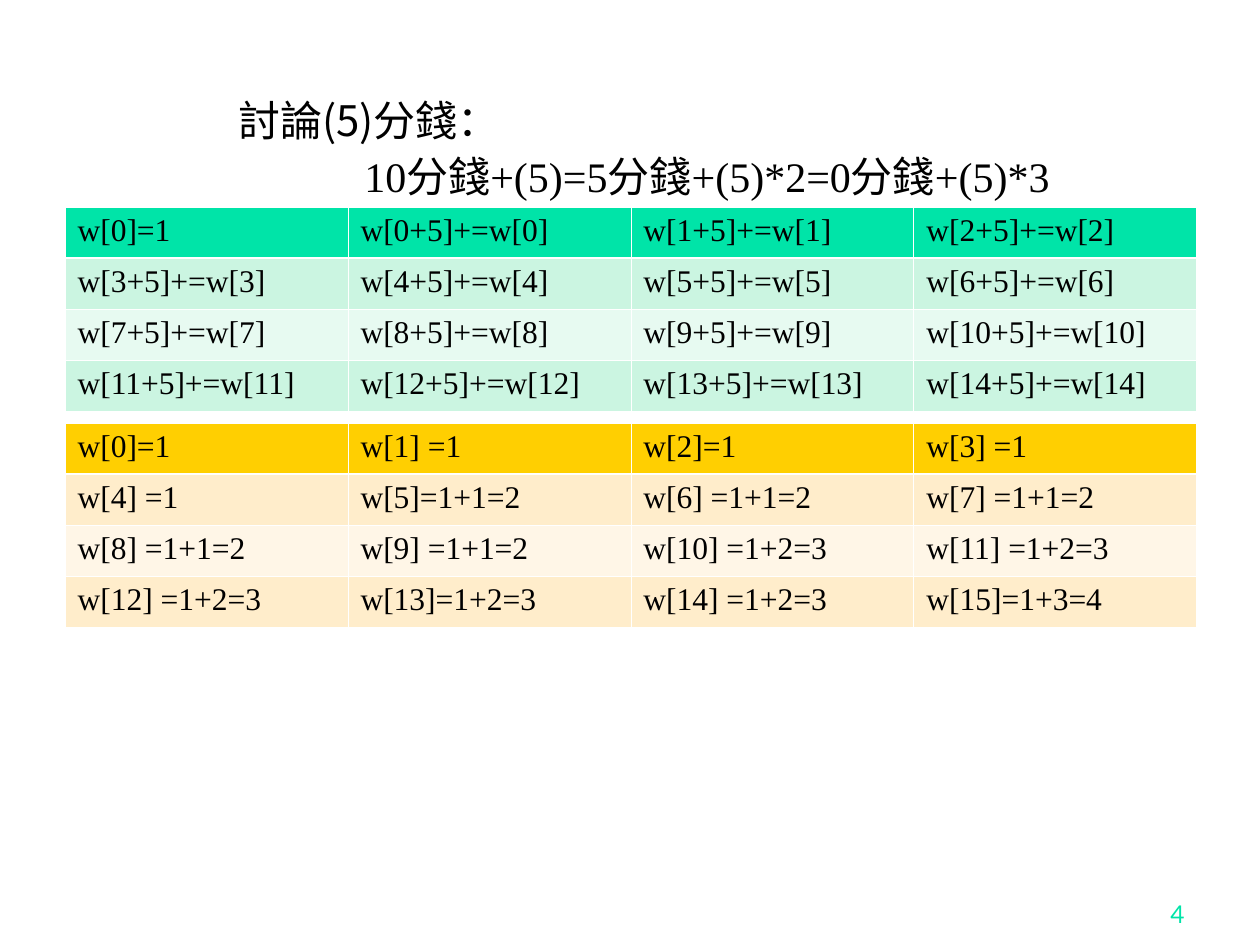
from itertools import groupby

from lxml.etree import SubElement
from pptx import Presentation
from pptx.dml.color import RGBColor
from pptx.enum.text import MSO_ANCHOR as ANCHOR, PP_ALIGN as ALIGN
from pptx.oxml.ns import qn
from pptx.util import Pt

SERIF = "Times New Roman"
CJK = "Noto Sans CJK SC"
PX = 914400 // 126


def px(n):
    return n * PX


def rgb(value):
    return RGBColor.from_string(value)


def set_attrs(obj, values):
    for name, value in values.items():
        setattr(obj, name, value)


def add_run(p, text, font, size, color):
    r = p.add_run()
    r.text = text
    set_attrs(r.font, {"name": font, "size": Pt(size)})
    r.font.color.rgb = rgb(color)
    SubElement(r.font._element, qn("a:ea"), typeface=font)


def add_text_frame(s, box, anchor):
    tf = s.shapes.add_textbox(*map(px, box)).text_frame
    set_attrs(tf, {"word_wrap": True, "vertical_anchor": anchor})
    return tf


def is_cjk(char):
    return ord(char) > 0x2E80


def add_heading(s, box):
    tf = add_text_frame(s, box, ANCHOR.TOP)
    first, second = tf.paragraphs[0], tf.add_paragraph()
    second.space_before = Pt(6)
    for p, indent in ((first, 173), (second, 299)):
        p.line_spacing = 0.9
        p._p.get_or_add_pPr().set("marL", str(px(indent)))
    add_run(first, "討論(5)分錢：", CJK, 24, "000000")
    for cjk, chars in groupby("10分錢+(5)=5分錢+(5)*2=0分錢+(5)*3", is_cjk):
        add_run(second, "".join(chars), CJK if cjk else SERIF, 24, "000000")


def add_borders(cell, row):
    tcPr = cell._tc.get_or_add_tcPr()
    heavy = {0: "B", 1: "T"}.get(row)
    for side in "LRTB":
        width = Pt(1.47 if side == heavy else 0.45)
        ln = SubElement(tcPr, qn(f"a:ln{side}"), w=str(width))
        fill = SubElement(ln, qn("a:solidFill"))
        SubElement(fill, qn("a:srgbClr"), val="FFFFFF")


def add_weights(s, box, rows, head, odd, even):
    shape = s.shapes.add_table(len(rows), len(rows[0]), *map(px, box))
    table = shape.table
    for row in table.rows:
        row.height = px(box[3]) // len(rows)
    for i, texts in enumerate(rows):
        color = head if i == 0 else odd if i % 2 else even
        for j, text in enumerate(texts):
            cell = table.cell(i, j)
            add_borders(cell, i)
            cell.fill.solid()
            cell.fill.fore_color.rgb = rgb(color)
            add_run(cell.text_frame.paragraphs[0], text, SERIF, 18, "000000")


def add_page_number(s, box, number):
    p = add_text_frame(s, box, ANCHOR.BOTTOM).paragraphs[0]
    p.alignment = ALIGN.RIGHT
    add_run(p, number, "Lato", 14, "00E4A8")


def main():
    prs = Presentation()
    set_attrs(prs, {"slide_width": px(1260), "slide_height": px(945)})
    s = prs.slides.add_slide(prs.slide_layouts[6])
    add_page_number(s, (935, 872, 262, 63), "4")
    add_heading(s, (53, 94, 1113, 775))

    steps = ["w[0]=1"] + [f"w[{n}+5]+=w[{n}]" for n in range(15)]
    values = [
        ["w[0]=1", "w[1] =1", "w[2]=1", "w[3] =1"],
        ["w[4] =1", "w[5]=1+1=2", "w[6] =1+1=2", "w[7] =1+1=2"],
        ["w[8] =1+1=2", "w[9] =1+1=2", "w[10] =1+2=3", "w[11] =1+2=3"],
        ["w[12] =1+2=3", "w[13]=1+2=3", "w[14] =1+2=3", "w[15]=1+3=4"],
    ]
    add_weights(s, (65, 207, 1132, 204),
                [steps[i:i + 4] for i in range(0, 16, 4)],
                "00E4A8", "CBF5E1", "E7FAF1")
    add_weights(s, (65, 423, 1132, 204), values,
                "FFCF01", "FFEDCB", "FFF6E7")
    prs.save("out.pptx")


if __name__ == "__main__":
    main()
